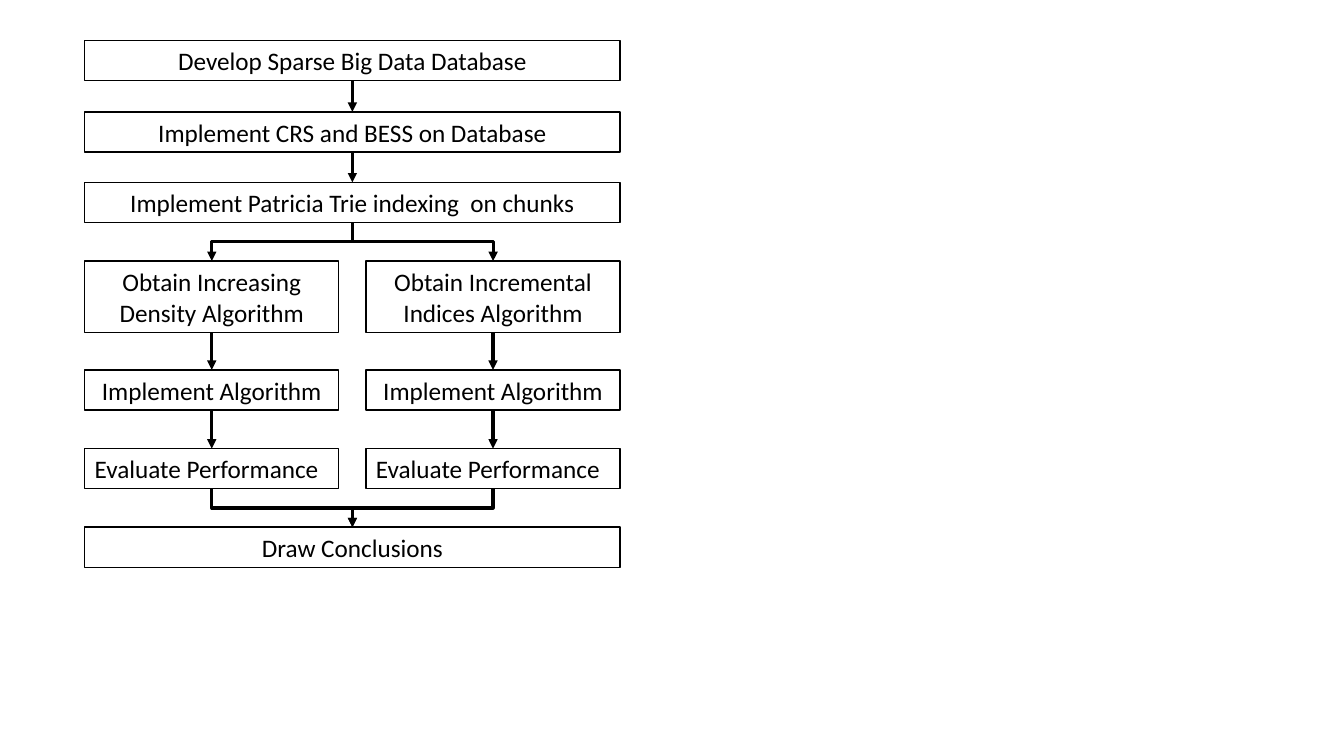
from dataclasses import dataclass

from lxml.etree import SubElement
from pptx import Presentation
from pptx.dml.color import RGBColor
from pptx.enum.shapes import MSO_CONNECTOR, MSO_SHAPE
from pptx.enum.text import MSO_AUTO_SIZE, PP_ALIGN
from pptx.oxml.ns import qn
from pptx.shapes.autoshape import Shape
from pptx.shapes.connector import Connector
from pptx.slide import Slide
from pptx.util import Inches, Pt

COLORS = {"ink": "000000", "paper": "FFFFFF"}
FONT = "Calibri"
LEFT, FULL_W, HALF_W = 0.84, 5.31, 2.52
RIGHT = LEFT + FULL_W - HALF_W
BOTTOM_SITE, TOP_SITE = 2, 0


@dataclass(frozen=True)
class Step:
    """One row of the flowchart: a wide box, or one box per branch."""
    top: float
    texts: tuple[str, ...]
    height: float = 0.4
    align: PP_ALIGN = PP_ALIGN.CENTER


STEPS = [
    Step(0.4, ("Develop Sparse Big Data Database",)),
    Step(1.11, ("Implement CRS and BESS on Database",)),
    Step(1.81, ("Implement Patricia Trie indexing  on chunks",)),
    Step(2.59, ("Obtain Increasing Density Algorithm",
                "Obtain Incremental Indices Algorithm"), height=0.71),
    Step(3.67, ("Implement Algorithm",) * 2),
    Step(4.45, ("Evaluate Performance",) * 2, align=PP_ALIGN.LEFT),
    Step(5.23, ("Draw Conclusions",)),
]


def rgb(name: str) -> RGBColor:
    return RGBColor.from_string(COLORS[name])


def set_text(sp: Shape, text: str, *, size: float = 18, color: str = "ink",
             align: PP_ALIGN = PP_ALIGN.CENTER) -> None:
    tf = sp.text_frame
    tf.word_wrap = True
    tf.auto_size = MSO_AUTO_SIZE.SHAPE_TO_FIT_TEXT
    p = tf.paragraphs[0]
    p.alignment = align
    r = p.add_run()
    r.text = text
    r.font.name = FONT
    r.font.size = Pt(size)
    r.font.color.rgb = rgb(color)


def add_box(s: Slide, left: float, width: float, step: Step, text: str) -> Shape:
    sp = s.shapes.add_shape(MSO_SHAPE.RECTANGLE, Inches(left), Inches(step.top),
                            Inches(width), Inches(step.height))
    sp.shadow.inherit = False
    sp.fill.solid()
    sp.fill.fore_color.rgb = rgb("paper")
    sp.line.color.rgb = rgb("ink")
    sp.line.width = Pt(1)
    set_text(sp, text, align=step.align)
    return sp


def add_step(s: Slide, step: Step) -> list[Shape]:
    if len(step.texts) == 1:
        return [add_box(s, LEFT, FULL_W, step, step.texts[0])]
    return [add_box(s, left, HALF_W, step, text)
            for left, text in zip((LEFT, RIGHT), step.texts)]


def turn_elbow(cxn: Connector, dx: int) -> None:
    """Rotate an elbow a quarter turn so that it leaves and arrives vertically."""
    left, top, w, h = cxn.left, cxn.top, cxn.width, cxn.height
    cxn.left, cxn.top = left + (w - h) // 2, top + (h - w) // 2
    cxn.width, cxn.height = h, w
    xfrm = cxn.element.spPr.find(qn("a:xfrm"))
    xfrm.set("rot", str((270 if dx > 0 else 90) * 60000))
    xfrm.set("flipH", "1" if dx > 0 else "0")


def add_arrow(s: Slide, start: Shape, end: Shape) -> None:
    x1, x2 = (sp.left + sp.width // 2 for sp in (start, end))
    # Centres that differ only by rounding count as aligned
    straight = abs(x2 - x1) < Inches(0.01)
    kind = MSO_CONNECTOR.STRAIGHT if straight else MSO_CONNECTOR.ELBOW
    cxn = s.shapes.add_connector(kind, x1, start.top + start.height, x2, end.top)
    cxn.begin_connect(start, BOTTOM_SITE)
    cxn.end_connect(end, TOP_SITE)
    if not straight:
        turn_elbow(cxn, x2 - x1)
    cxn.line.color.rgb = rgb("ink")
    cxn.line.width = Pt(2.25)
    SubElement(cxn.line._get_or_add_ln(), qn("a:tailEnd"), type="triangle")
    SubElement(cxn.element.spPr, qn("a:effectLst"))


def main() -> None:
    prs = Presentation()
    prs.slide_width, prs.slide_height = Inches(13.33), Inches(7.5)
    s = prs.slides.add_slide(prs.slide_layouts[6])

    # Boxes
    rows = [add_step(s, step) for step in STEPS]

    # Arrows: branches run in parallel, or split from and merge into a wide box
    for upper, lower in zip(rows, rows[1:]):
        n = max(len(upper), len(lower))
        for i in range(n):
            add_arrow(s, upper[i % len(upper)], lower[i % len(lower)])

    prs.save("out.pptx")


if __name__ == "__main__":
    main()
